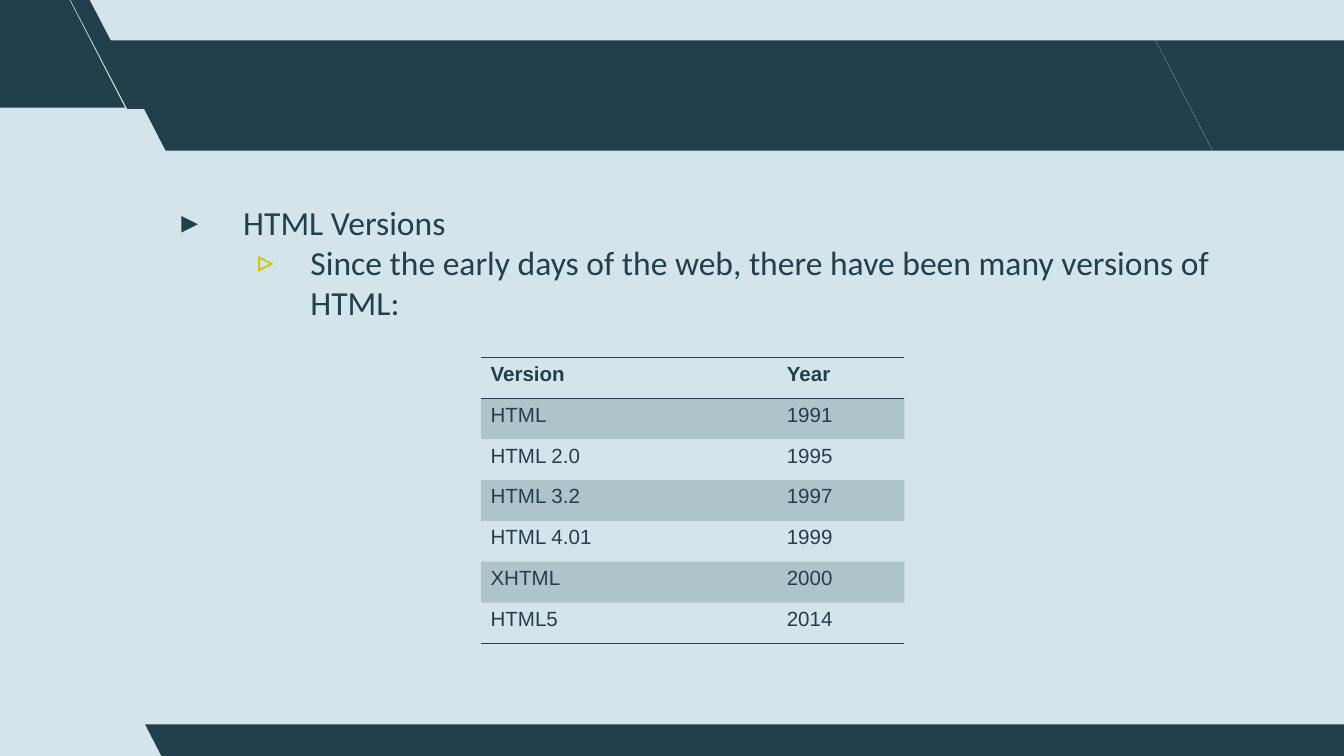
from dataclasses import dataclass

from lxml import etree
from pptx import Presentation, util as u
from pptx.dml.color import RGBColor
from pptx.enum import shapes, text
from pptx.oxml.ns import qn


@dataclass(frozen=True)
class Theme:
    """Colours, fonts and type sizes of the deck."""
    paper: str = "D3E4EB"
    ink: str = "22404C"
    accent: str = "CFC60D"
    body_font: str = "Calibri"
    table_font: str = "Arial"
    body_size: int = 18
    table_size: int = 11
    stripe_alpha: int = 20
    rule_width: int = 1
    plain_table: str = "{2D5ABB26-0587-4C30-8999-92F81FD0307C}"


class SlideBuilder:
    """Draws styled elements on a slide, measured on a grid of 100 columns."""

    def __init__(self, deck, theme):
        """Open a titleless content slide with a plain background."""
        self.theme = theme
        self.unit = deck.slide_width / 100
        self.slide = deck.slides.add_slide(deck.slide_layouts[1])
        self.paint(self.slide.background.fill, theme.paper)
        heading = self.slide.shapes.title._element
        heading.getparent().remove(heading)

    def grid(self, *cells):
        """Turn grid cells into slide lengths."""
        return [u.Emu(round(cell * self.unit)) for cell in cells]

    def paint(self, fill, colour):
        """Give a fill one solid colour."""
        fill.solid()
        fill.fore_color.rgb = RGBColor.from_string(colour)

    def style(self, paragraph, font, size, bold=False):
        """Set the type of a whole paragraph."""
        paragraph.font.name = font
        paragraph.font.size = u.Pt(size)
        paragraph.font.bold = bold
        paragraph.font.color.rgb = RGBColor.from_string(self.theme.ink)

    def band(self, left, top, width, height, slant=0.515):
        """Add a parallelogram that leans to the left."""
        band = self.slide.shapes.add_shape(
            shapes.MSO_SHAPE.PARALLELOGRAM, *self.grid(left, top, width, height))
        band.adjustments[0] = slant
        band._element.spPr.find(qn("a:xfrm")).set("flipH", "1")
        band.shadow.inherit = False
        self.paint(band.fill, self.theme.ink)
        band.line.fill.background()

    def bullets(self, left, top, width, height, items):
        """Fill the body placeholder with (level, words, mark, colour, margin, hang, space) items."""
        body = self.slide.placeholders[1]
        body.left, body.top, body.width, body.height = self.grid(left, top, width, height)
        self.slide.shapes._spTree.append(body._element)
        frame = body.text_frame
        frame.auto_size = text.MSO_AUTO_SIZE.NONE
        frame.margin_left, frame.margin_top, frame.margin_right, frame.margin_bottom = self.grid(1, 1, 1, 1)
        for index, (level, words, mark, colour, margin, hang, space) in enumerate(items):
            paragraph = frame.add_paragraph() if index else frame.paragraphs[0]
            paragraph.text = words
            paragraph.level = level
            props = paragraph._p.get_or_add_pPr()
            indent, outdent = self.grid(margin, -hang)
            props.set("marL", str(indent))
            props.set("indent", str(outdent))
            tint = etree.SubElement(props, qn("a:buClr"))
            etree.SubElement(tint, qn("a:srgbClr"), val=colour)
            etree.SubElement(props, qn("a:buChar"), char=mark)
            paragraph.space_before = u.Pt(space)
            self.style(paragraph, self.theme.body_font, self.theme.body_size)

    def rule(self, cell, side):
        """Draw a border on one side of a cell."""
        line = etree.Element(qn(f"a:ln{side}"), w=str(u.Pt(self.theme.rule_width)))
        fill = etree.SubElement(line, qn("a:solidFill"))
        etree.SubElement(fill, qn("a:srgbClr"), val=self.theme.ink)
        cell._tc.get_or_add_tcPr().insert(0, line)

    def stripe(self, cell):
        """Tint a cell with translucent ink."""
        self.paint(cell.fill, self.theme.ink)
        colour = cell._tc.tcPr.find(".//" + qn("a:srgbClr"))
        etree.SubElement(colour, qn("a:alpha"), val=str(self.theme.stripe_alpha * 1000))

    def table(self, left, top, widths, row_height, rows):
        """Add a striped table ruled around its header and at its foot."""
        frame = self.slide.shapes.add_table(
            len(rows), len(widths),
            *self.grid(left, top, sum(widths), row_height * len(rows)))
        table = frame.table
        table._tbl.tblPr.find(qn("a:tableStyleId")).text = self.theme.plain_table
        for column, width in zip(table.columns, self.grid(*widths)):
            column.width = width
        for r, values in enumerate(rows):
            for c, value in enumerate(values):
                cell = table.cell(r, c)
                cell.text = value
                cell.margin_left, cell.margin_right = self.grid(0.7, 0.7)
                cell.margin_top, cell.margin_bottom = self.grid(0.4, 0.4)
                self.style(cell.text_frame.paragraphs[0], self.theme.table_font,
                           self.theme.table_size, bold=r == 0)
                if r % 2:
                    self.stripe(cell)
                else:
                    cell.fill.background()
                if r in (0, len(rows) - 1):
                    self.rule(cell, "B")
                if r == 0:
                    self.rule(cell, "T")


def main():
    """Build the slide on HTML versions."""
    deck = Presentation()
    deck.slide_width = u.Inches(10)
    deck.slide_height = deck.slide_width * 9 // 16
    theme = Theme()
    page = SlideBuilder(deck, theme)

    page.band(-9.9, -0.2, 19.2, 8.2)
    page.band(5.2, -0.1, 5.7, 8.2, slant=0.75)
    page.band(8.1, 3, 82.1, 8.2)
    page.band(86, 3, 19.2, 8.2)
    page.band(10.8, 53.9, 91.5, 2.5)

    page.bullets(12.1, 14, 82.9, 39.9, [
        (0, "HTML Versions", "▸", theme.ink, 5, 4.6, 6),
        (1, "Since the early days of the web, there have been many versions of HTML:",
         "▹", theme.accent, 10, 4.2, 0),
    ])
    page.table(35.8, 26.6, (22.05, 9.45), 3.04, [
        ("Version", "Year"),
        ("HTML", "1991"),
        ("HTML 2.0", "1995"),
        ("HTML 3.2", "1997"),
        ("HTML 4.01", "1999"),
        ("XHTML", "2000"),
        ("HTML5", "2014"),
    ])
    deck.save("out.pptx")


if __name__ == "__main__":
    main()
